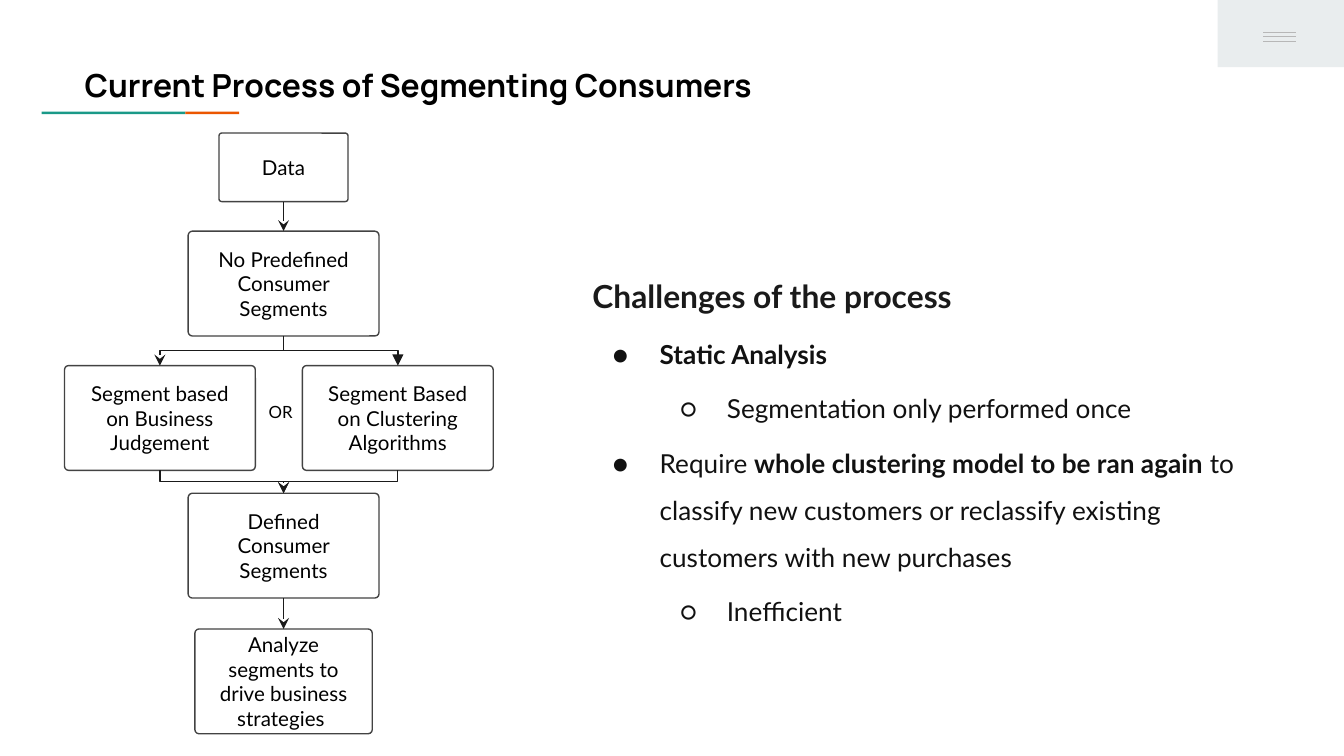
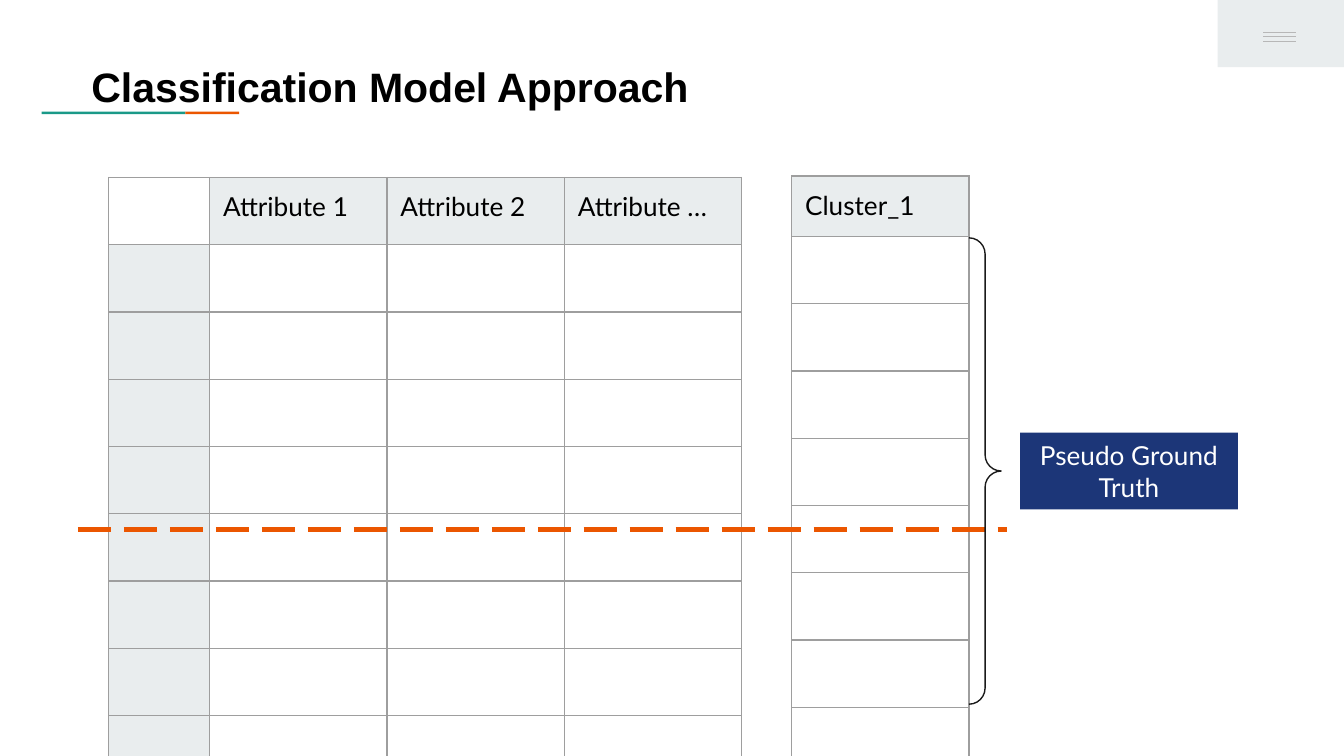
from lxml import etree
from pptx import Presentation
from pptx import util as u
from pptx.dml.color import RGBColor
from pptx.enum import dml, shapes, text
from pptx.oxml.ns import qn

WIDTH = 10
HEIGHT = WIDTH * 9 / 16
INK, BLACK, GREY, PALE = "1A1A1A", "000000", "9E9E9E", "E9EDEE"
TEAL, ORANGE, NAVY, WHITE = "1A9988", "EB5600", "1C3678", "FFFFFF"

# Flow chart: name -> (text, centre x, top, width, height)
STEPS = {
    "data": ("Data", 2.11, 0.99, 0.96, 0.51),
    "raw": ("No Predefined Consumer Segments", 2.11, 1.72, 1.42, 0.78),
    "judgement": ("Segment based on Business Judgement", 1.19, 2.72, 1.42, 0.78),
    "clustering": ("Segment Based on Clustering Algorithms", 2.96, 2.72, 1.42, 0.78),
    "defined": ("Defined Consumer Segments", 2.11, 3.67, 1.42, 0.78),
    "analyze": ("Analyze segments to drive business strategies ", 2.11, 4.68, 1.32, 0.78),
}
LINKS = [
    ("data", "raw", "stealth"),
    ("raw", "judgement", "stealth"),
    ("raw", "clustering", "triangle"),
    ("judgement", "defined", "stealth"),
    ("clustering", "defined", "stealth"),
    ("defined", "analyze", "stealth"),
]

# Challenges: (level, [(text, bold), ...]), level 0 is the heading
CHALLENGES = [
    (0, [("Challenges of the process", True)]),
    (1, [("Static Analysis", True)]),
    (2, [("Segmentation only performed once", False)]),
    (1, [("Require ", False), ("whole clustering model to be ran again ", True),
         ("to classify new customers or reclassify existing customers with new purchases", False)]),
    (2, [("Inefficient", False)]),
]
BULLETS = {1: "●", 2: "○"}

# Tables: header, column widths, place, shaded label column
BODY_ROWS = 8
TABLES = [
    dict(header=["", "Attribute 1", "Attribute 2", "Attribute …"],
         columns=[0.75, 1.32, 1.32, 1.32], at=(0.81, 1.32), labels=True),
    dict(header=["Cluster_1"], columns=[1.32], at=(5.89, 1.31), labels=False),
]
HEADER_HEIGHT, ROW_HEIGHT = 0.45, 0.43


def color(value):
    return RGBColor.from_string(value)


def inches(*values):
    return [u.Inches(value) for value in values]


def add_span(para, words, size, name="Lato", ink=BLACK, bold=False):
    span = para.add_run()
    span.text = words
    for key, value in dict(size=u.Pt(size), name=name, bold=bold).items():
        setattr(span.font, key, value)
    span.font.color.rgb = color(ink)


def set_frame(frame, anchor=text.MSO_ANCHOR.TOP):
    margins = {f"margin_{side}": u.Inches(0.1) for side in ("left", "top", "right", "bottom")}
    values = dict(margins, word_wrap=True, auto_size=text.MSO_AUTO_SIZE.NONE,
                  vertical_anchor=anchor)
    for key, value in values.items():
        setattr(frame, key, value)
    return frame


def add_box(page, kind, at, fill=None, line=None):
    box = page.shapes.add_shape(kind, *inches(*at))
    box.shadow.inherit = False
    if fill:
        box.fill.solid()
        box.fill.fore_color.rgb = color(fill)
    else:
        box.fill.background()
    if line:
        box.line.color.rgb = color(line)
        box.line.width = u.Pt(0.75)
    else:
        box.line.fill.background()
    return box


def add_label(box, words, size, ink):
    para = set_frame(box.text_frame, text.MSO_ANCHOR.MIDDLE).paragraphs[0]
    para.alignment = text.PP_ALIGN.CENTER
    add_span(para, words, size, ink=ink)


def add_line(page, start, end, ink, width=0.75, kind=shapes.MSO_CONNECTOR.STRAIGHT, head=None):
    line = page.shapes.add_connector(kind, *inches(*start, *end))
    line.line.color.rgb = color(ink)
    line.line.width = u.Pt(width)
    properties = line._element.spPr
    if head:
        etree.SubElement(properties.find(qn("a:ln")), qn("a:tailEnd"), type=head)
    etree.SubElement(properties, qn("a:effectLst"))
    return line


def add_link(page, start, end, head):
    """Arrow downwards; it bends halfway when the columns differ."""
    (x1, y1), (x2, y2) = start, end
    if x1 == x2:
        add_line(page, start, end, INK, head=head)
        return
    # An elbow leaves sideways, so it is laid flat and then turned
    middle_x, middle_y = (x1 + x2) / 2, (y1 + y2) / 2
    half_width, half_height = (y2 - y1) / 2, abs(x2 - x1) / 2
    turn = 90 if x2 < x1 else 270
    side = half_width if turn == 90 else -half_width
    line = add_line(page, (middle_x - side, middle_y - half_height),
                    (middle_x + side, middle_y + half_height),
                    INK, kind=shapes.MSO_CONNECTOR.ELBOW, head=head)
    line._element.spPr.find(qn("a:xfrm")).set("rot", str(turn * 60000))


def add_page(deck, title, at, size, name):
    page = deck.slides.add_slide(deck.slide_layouts[5])
    # Corner menu
    add_box(page, shapes.MSO_SHAPE.RECTANGLE, (9.06, 0, 0.94, 0.5), PALE)
    for y in (0.24, 0.27, 0.31):
        add_line(page, (9.4, y), (9.64, y), "B7B7B7")
    # Two-tone rule under the title
    for left, width, fill in ((0.31, 1.07, TEAL), (1.38, 0.4, ORANGE)):
        add_box(page, shapes.MSO_SHAPE.RECTANGLE, (left, 0.83, width, 0.02), fill)
    # Title
    box = page.shapes.title
    box.left, box.top, box.width, box.height = inches(*at)
    para = set_frame(box.text_frame).paragraphs[0]
    para.alignment = text.PP_ALIGN.LEFT
    add_span(para, title, size, name, bold=True)
    return page


def add_challenges(page, at):
    frame = set_frame(page.shapes.add_textbox(*inches(*at)).text_frame)
    for index, (level, spans) in enumerate(CHALLENGES):
        para = frame.add_paragraph() if index else frame.paragraphs[0]
        para.line_spacing = 1.5
        if level:
            para.space_before = u.Pt(4)
            para.level = level - 1
            properties = para._p.get_or_add_pPr()
            properties.set("marL", str(u.Inches(0.5 * level)))
            properties.set("indent", str(u.Inches(-0.35)))
            tint = etree.SubElement(properties, qn("a:buClr"))
            etree.SubElement(tint, qn("a:srgbClr"), val="111111")
            etree.SubElement(properties, qn("a:buFont"), typeface="Lato")
            etree.SubElement(properties, qn("a:buChar"), char=BULLETS[level])
        for words, bold in spans:
            add_span(para, words, 14 if level else 17, ink="111111" if level else INK, bold=bold)


def set_borders(cell):
    properties = cell._tc.get_or_add_tcPr()
    for index, side in enumerate(("lnL", "lnR", "lnT", "lnB")):
        border = etree.Element(qn(f"a:{side}"), w=str(u.Pt(0.75)))
        fill = etree.SubElement(border, qn("a:solidFill"))
        etree.SubElement(fill, qn("a:srgbClr"), val=GREY)
        properties.insert(index, border)


def add_grid(page, header, columns, at, labels):
    heights = [HEADER_HEIGHT] + [ROW_HEIGHT] * BODY_ROWS
    table = page.shapes.add_table(len(heights), len(columns),
                                  *inches(*at, sum(columns), sum(heights))).table
    table.first_row = table.horz_banding = False
    for column, width in zip(table.columns, columns):
        column.width = u.Inches(width)
    for r, height in enumerate(heights):
        table.rows[r].height = u.Inches(height)
        for c in range(len(columns)):
            cell = table.cell(r, c)
            for side in ("left", "top", "right", "bottom"):
                setattr(cell, f"margin_{side}", u.Inches(0.1))
            words = header[c] if r == 0 else ""
            if words or (labels and r and c == 0):
                cell.fill.solid()
                cell.fill.fore_color.rgb = color(PALE)
            else:
                cell.fill.background()
            set_borders(cell)
            para = cell.text_frame.paragraphs[0]
            if words:
                add_span(para, words, 14)
            else:
                # Empty cells keep the height of an 18-point line
                blank = etree.SubElement(para._p, qn("a:endParaRPr"), sz="1800")
                etree.SubElement(blank, qn("a:latin"), typeface="Lato")


def build_process(deck):
    page = add_page(deck, "Current Process of Segmenting Consumers",
                    (0.53, 0.39, 8.41, 0.59), 17, "Manrope")
    for words, center, top, width, height in STEPS.values():
        box = add_box(page, shapes.MSO_SHAPE.ROUNDED_RECTANGLE,
                      (center - width / 2, top, width, height), line="434343")
        box.adjustments[0] = 0.04
        add_label(box, words, 11, BLACK)
    for source, target, head in LINKS:
        _, x1, top, _, height = STEPS[source]
        _, x2, y2, _, _ = STEPS[target]
        add_link(page, (x1, top + height), (x2, y2), head)
    add_challenges(page, (4.31, 1.82, 5.08, 2.97))
    choice = page.shapes.add_textbox(*inches(1.9, 2.89, 0.42, 0.35))
    add_span(set_frame(choice.text_frame).paragraphs[0], "OR", 9)


def build_approach(deck):
    page = add_page(deck, "Classification Model Approach",
                    (0.58, 0.3, 8.84, 0.57), 22, "Arial")
    page.shapes.title.text_frame.paragraphs[0].line_spacing = 1.15
    for grid in TABLES:
        add_grid(page, **grid)
    truth = add_box(page, shapes.MSO_SHAPE.RECTANGLE, (7.59, 3.22, 1.62, 0.57), NAVY)
    add_label(truth, "Pseudo Ground Truth", 14, WHITE)
    # Split line and brace
    split = add_line(page, (0.58, 3.94), (7.49, 3.94), ORANGE, 2.25)
    split.line.dash_style = dml.MSO_LINE.LONG_DASH
    brace = add_box(page, shapes.MSO_SHAPE.RIGHT_BRACE, (7.21, 1.77, 0.24, 3.47), line=INK)
    brace.adjustments[0] = brace.adjustments[1] = 0.5


def main():
    deck = Presentation()
    deck.slide_width, deck.slide_height = inches(WIDTH, HEIGHT)
    build_process(deck)
    build_approach(deck)
    deck.save("out.pptx")


if __name__ == "__main__":
    main()
